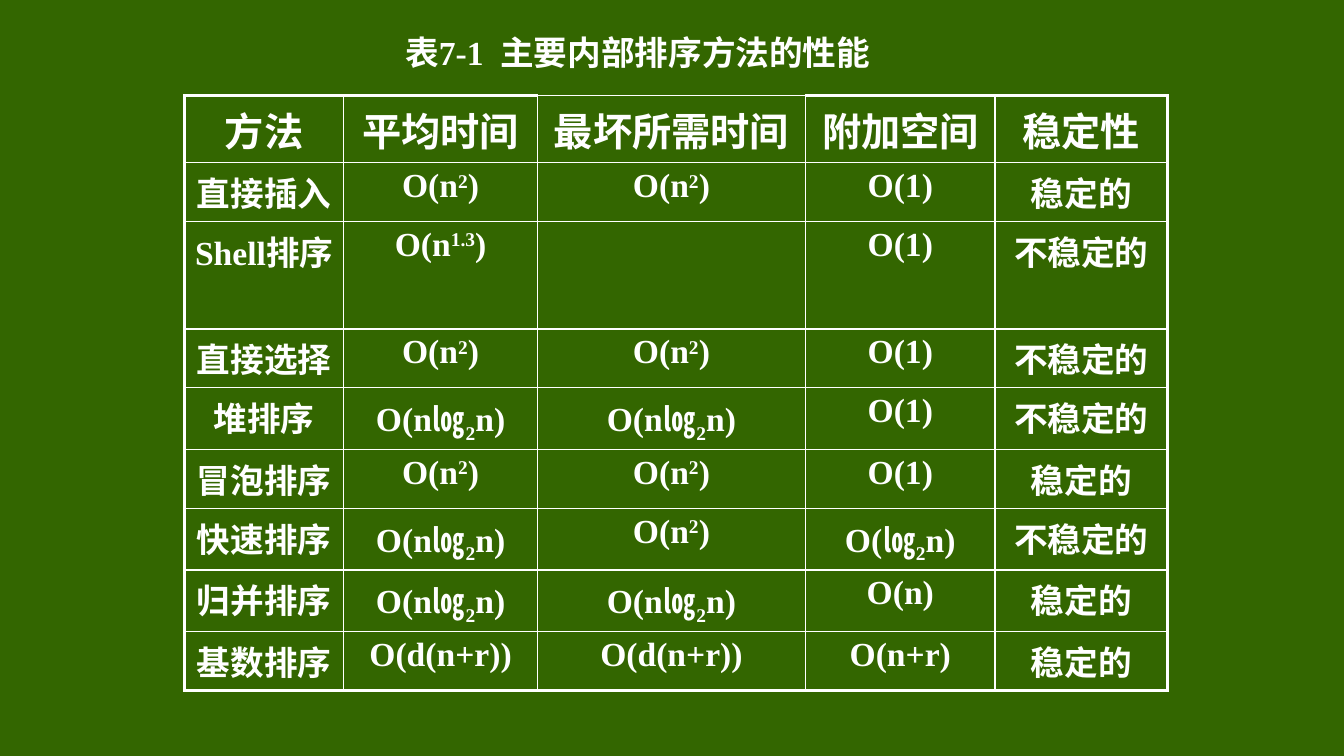
import pptx
import pptx.dml.color
import pptx.enum.text
import pptx.oxml.ns
import pptx.util
from dataclasses import dataclass
from lxml import etree
from pptx.util import Inches

# Each formula is a list of (text, baseline shift in percent).
N_SQUARED = [("O(n", 0), ("2", 28), (")", 0)]
N_POWER_1_3 = [("O(n", 0), ("1.3", 28), (")", 0)]
N_LOG_N = [("O(n㏒", 0), ("2", -25), ("n)", 0)]
LOG_N = [("O(㏒", 0), ("2", -25), ("n)", 0)]

TITLE = "表7-1  主要内部排序方法的性能"
ROWS = [
    ("方法", "平均时间", "最坏所需时间", "附加空间", "稳定性"),
    ("直接插入", N_SQUARED, N_SQUARED, "O(1)", "稳定的"),
    ("Shell排序", N_POWER_1_3, "", "O(1)", "不稳定的"),
    ("直接选择", N_SQUARED, N_SQUARED, "O(1)", "不稳定的"),
    ("堆排序", N_LOG_N, N_LOG_N, "O(1)", "不稳定的"),
    ("冒泡排序", N_SQUARED, N_SQUARED, "O(1)", "稳定的"),
    ("快速排序", N_LOG_N, N_SQUARED, LOG_N, "不稳定的"),
    ("归并排序", N_LOG_N, N_LOG_N, "O(n)", "稳定的"),
    ("基数排序", "O(d(n+r))", "O(d(n+r))", "O(n+r)", "稳定的"),
]
COLUMN_WIDTHS = [1.58, 1.92, 2.66, 1.88, 1.71]
ROW_HEIGHT = 0.49
TABLE_LEFT, TABLE_TOP = 1.83, 0.95
THIN_TOP_COLUMN = 2  # the frame is thin above this column


@dataclass(frozen=True)
class Theme:
    font: str = "Times New Roman"
    background: str = "336600"
    ink: str = "FFFFFF"
    header_size: float = 28
    body_size: float = 24
    frame_line: float = 2.25
    grid_line: float = 1


THEME = Theme()


def add_run(paragraph, text, size, baseline=0):
    run = paragraph.add_run()
    run.text = text
    run.font.name = THEME.font
    run.font.size = pptx.util.Pt(size)
    run.font.bold = True
    run.font.color.rgb = pptx.dml.color.RGBColor.from_string(THEME.ink)
    if baseline:
        run._r.get_or_add_rPr().set("baseline", str(baseline * 1000))


def set_borders(cell, framed):
    """Draw all four borders; the sides named in framed get the heavy line."""
    properties = cell._tc.get_or_add_tcPr()
    for side in "LRTB":
        width = THEME.frame_line if side in framed else THEME.grid_line
        line = etree.SubElement(properties, pptx.oxml.ns.qn(f"a:ln{side}"))
        line.set("w", str(int(pptx.util.Pt(width))))
        fill = etree.SubElement(line, pptx.oxml.ns.qn("a:solidFill"))
        etree.SubElement(fill, pptx.oxml.ns.qn("a:srgbClr")).set("val", THEME.ink)


def framed_sides(row, column):
    sides = {
        "L": column == 0,
        "R": column == len(COLUMN_WIDTHS) - 1,
        "T": row == 0 and column != THIN_TOP_COLUMN,
        "B": row == len(ROWS) - 1,
    }
    return [side for side, framed in sides.items() if framed]


def add_title(slide):
    box = slide.shapes.add_textbox(Inches(3.92), Inches(0.28), Inches(4.96), Inches(0.47))
    frame = box.text_frame
    frame.word_wrap = False
    frame.margin_right = 0  # leaves the title room to stay on one line
    frame.vertical_anchor = pptx.enum.text.MSO_ANCHOR.MIDDLE
    add_run(frame.paragraphs[0], TITLE, THEME.body_size)


def add_performance_table(slide):
    table = slide.shapes.add_table(
        len(ROWS), len(COLUMN_WIDTHS), Inches(TABLE_LEFT), Inches(TABLE_TOP),
        Inches(sum(COLUMN_WIDTHS)), Inches(ROW_HEIGHT * len(ROWS))).table
    table.first_row = False
    table.horz_banding = False
    for column, width in zip(table.columns, COLUMN_WIDTHS):
        column.width = Inches(width)
    for row_index, contents in enumerate(ROWS):
        table.rows[row_index].height = Inches(ROW_HEIGHT)
        size = THEME.body_size if row_index else THEME.header_size
        for column_index, content in enumerate(contents):
            cell = table.cell(row_index, column_index)
            set_borders(cell, framed_sides(row_index, column_index))
            cell.fill.background()
            if not content:
                continue
            paragraph = cell.text_frame.paragraphs[0]
            paragraph.alignment = pptx.enum.text.PP_ALIGN.CENTER
            pieces = [(content, 0)] if isinstance(content, str) else content
            for text, baseline in pieces:
                add_run(paragraph, text, size, baseline)


def main():
    presentation = pptx.Presentation()
    presentation.slide_width = Inches(13.33)
    presentation.slide_height = Inches(7.5)
    slide = presentation.slides.add_slide(presentation.slide_layouts[6])
    background = slide.background.fill
    background.solid()
    background.fore_color.rgb = pptx.dml.color.RGBColor.from_string(THEME.background)
    add_performance_table(slide)
    add_title(slide)
    presentation.save("out.pptx")


if __name__ == "__main__":
    main()
